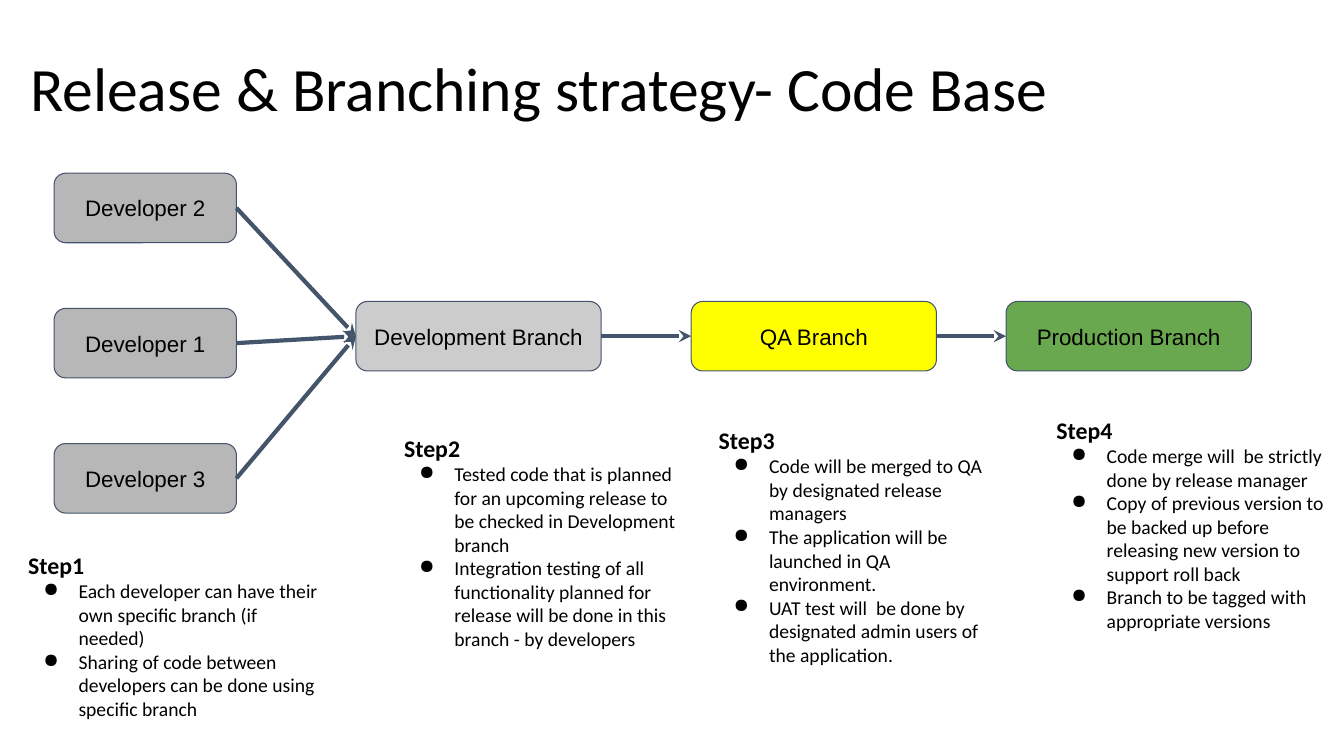
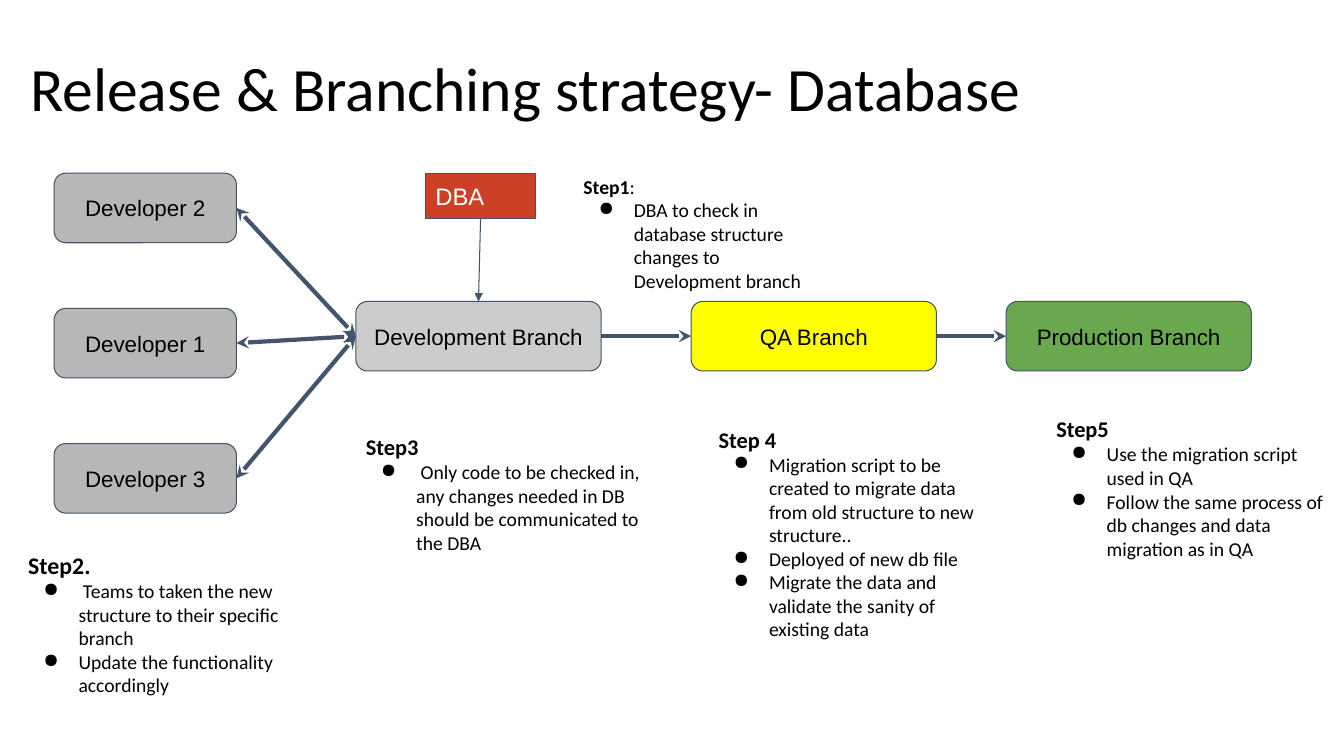
"""Build two slides on release and branching strategy."""
from pptx import Presentation
from pptx.dml.color import RGBColor
from pptx.enum import shapes, text
from pptx.oxml.ns import qn
from pptx.util import Pt
from lxml import etree

BLACK = RGBColor(0x00, 0x00, 0x00)
WHITE = RGBColor(0xFF, 0xFF, 0xFF)
SLATE = RGBColor(0x44, 0x54, 0x6A)
DEVELOPER_GRAY = RGBColor(0xB7, 0xB7, 0xB7)
BRANCH_GRAY = RGBColor(0xCC, 0xCC, 0xCC)
QA_YELLOW = RGBColor(0xFF, 0xFF, 0x00)
PRODUCTION_GREEN = RGBColor(0x6A, 0xA8, 0x4F)
DBA_RED = RGBColor(0xCC, 0x41, 0x25)

ROUNDED = shapes.MSO_SHAPE.ROUNDED_RECTANGLE
RECTANGLE = shapes.MSO_SHAPE.RECTANGLE
LEFT, CENTER = text.PP_ALIGN.LEFT, text.PP_ALIGN.CENTER
TOP_SITE, LEFT_SITE, BOTTOM_SITE, RIGHT_SITE = range(4)

BOX_HEIGHT = 49.7
DEVELOPER_TOP, DEVELOPER_PITCH = 123.7, 96.55
DEVELOPERS = ["Developer 2", "Developer 1", "Developer 3"]
BRANCHES = [
    ("Development Branch", 254.2, BRANCH_GRAY),
    ("QA Branch", 493.7, QA_YELLOW),
    ("Production Branch", 718.6, PRODUCTION_GREEN),
]


class Deck:
    """Hold the shared style and the current slide."""

    heading_font = "Calibri"
    box_font = "Arial"
    body_size = 14

    def __init__(self):
        """Start an empty widescreen presentation."""
        self.presentation = Presentation()
        self.presentation.slide_width = Pt(960)
        self.presentation.slide_height = Pt(540)
        self.slide = None

    def style(self, run, font, size, color=BLACK, bold=False):
        """Format one run."""
        run.font.name = font
        run.font.size = Pt(size)
        run.font.color.rgb = color
        run.font.bold = bold

    def frame(self, shape, inset, anchor):
        """Set wrapping, anchor and vertical insets; return the text frame."""
        body = shape.text_frame
        body.word_wrap = True
        body.auto_size = text.MSO_AUTO_SIZE.NONE
        body.vertical_anchor = anchor
        body.margin_left = body.margin_right = Pt(7.2)
        body.margin_top = body.margin_bottom = Pt(inset)
        return body

    def add_slide(self, title):
        """Add a title-only slide and format its title."""
        layout = self.presentation.slide_layouts[5]
        self.slide = self.presentation.slides.add_slide(layout)
        heading = self.slide.shapes.title
        heading.left, heading.top = Pt(14.4), Pt(13)
        heading.width, heading.height = Pt(828), Pt(104.4)
        body = self.frame(heading, 3.6, text.MSO_ANCHOR.MIDDLE)
        body.text = title
        line = body.paragraphs[0]
        line.alignment = LEFT
        line.line_spacing = 0.9
        self.style(line.runs[0], self.heading_font, 44)

    def box(self, label, left, top, width, fill, height=BOX_HEIGHT,
            kind=ROUNDED, align=CENTER, size=16, color=BLACK):
        """Draw a labelled box and return it."""
        box = self.slide.shapes.add_shape(
            kind, Pt(left), Pt(top), Pt(width), Pt(height))
        box.shadow.inherit = False
        box.fill.solid()
        box.fill.fore_color.rgb = fill
        box.line.color.rgb = SLATE
        box.line.width = Pt(0.75)
        body = self.frame(box, 7.2, text.MSO_ANCHOR.MIDDLE)
        body.text = label
        body.paragraphs[0].alignment = align
        self.style(body.paragraphs[0].runs[0], self.box_font, size, color)
        return box

    def arrow(self, source, target, sites=(RIGHT_SITE, LEFT_SITE),
              width=3, tip="stealth", two_way=False):
        """Join two boxes with an arrow."""
        arrow = self.slide.shapes.add_connector(
            shapes.MSO_CONNECTOR.STRAIGHT, 0, 0, 0, 0)
        arrow.begin_connect(source, sites[0])
        arrow.end_connect(target, sites[1])
        arrow.line.color.rgb = SLATE
        arrow.line.width = Pt(width)
        outline = arrow.line._get_or_add_ln()
        for end in ["headEnd", "tailEnd"] if two_way else ["tailEnd"]:
            etree.SubElement(outline, qn("a:" + end), type=tip)
        etree.SubElement(arrow._element.spPr, qn("a:effectLst"))

    def step(self, heading, left, top, width, height, items, size=17, suffix=""):
        """Write a bold step heading with bullets below it."""
        note = self.slide.shapes.add_textbox(
            Pt(left), Pt(top), Pt(width), Pt(height))
        body = self.frame(note, 7.2, text.MSO_ANCHOR.TOP)
        body.text = heading
        first = body.paragraphs[0]
        self.style(first.runs[0], self.heading_font, size, bold=True)
        if suffix:
            ending = first.add_run()
            ending.text = suffix
            self.style(ending, self.heading_font, size)
        for item in items:
            line = body.add_paragraph()
            line.text = item
            self.style(line.runs[0], self.heading_font, self.body_size)
            self.bullet(line)

    def bullet(self, line):
        """Give a paragraph a hanging round bullet."""
        properties = line._p.get_or_add_pPr()
        properties.set("marL", str(Pt(36)))
        properties.set("indent", str(Pt(-25.2)))
        color = etree.SubElement(properties, qn("a:buClr"))
        etree.SubElement(color, qn("a:srgbClr"), val=str(BLACK))
        etree.SubElement(properties, qn("a:buChar"), char="●")

    def flow(self, two_way=False):
        """Draw developers and branches; return the development branch."""
        branches = [self.box(label, left, 215.3, 175.2, fill)
                    for label, left, fill in BRANCHES]
        for row, name in enumerate(DEVELOPERS):
            developer = self.box(name, 38.6, DEVELOPER_TOP + row * DEVELOPER_PITCH,
                                 130.3, DEVELOPER_GRAY)
            self.arrow(developer, branches[0], two_way=two_way)
        for source, target in zip(branches, branches[1:]):
            self.arrow(source, target)
        return branches[0]


def code_base(deck):
    """Build the code base slide."""
    deck.add_slide("Release & Branching strategy- Code Base")
    deck.flow()
    deck.step("Step1", 13, 386, 221.8, 92.2, [
        "Each developer can have their own specific branch (if needed)",
        "Sharing of code between developers can be done using specific branch"])
    deck.step("Step2", 281.5, 302.4, 212.4, 64.8, [
        "Tested code that is planned for an upcoming release to be checked in "
        "Development branch",
        "Integration testing of all functionality planned for release will be "
        "done in this branch - by developers"])
    deck.step("Step3", 506.2, 296.9, 212.4, 90, [
        "Code will be merged to QA by designated release managers",
        "The application will be launched in QA environment.",
        "UAT test will  be done by designated admin users of the application."])
    deck.step("Step4", 747.4, 289.6, 212.4, 90, [
        "Code merge will  be strictly done by release manager",
        "Copy of previous version to be backed up before releasing new version "
        "to support roll back",
        "Branch to be tagged with appropriate versions"])


def database(deck):
    """Build the database slide."""
    deck.add_slide("Release & Branching strategy- Database")
    development = deck.flow(two_way=True)
    dba = deck.box("DBA", 303.9, 123.9, 78.8, DBA_RED, height=32.2,
                   kind=RECTANGLE, align=LEFT, size=17, color=WHITE)
    deck.arrow(dba, development, (BOTTOM_SITE, TOP_SITE), 0.75, "triangle")
    deck.step("Step1", 409.7, 117.4, 175, 30.2, [
        "DBA to check in database structure changes to Development branch"],
        size=14, suffix=":")
    deck.step("Step2.", 13, 386, 221.8, 92.2, [
        " Teams to taken the new structure to their specific branch",
        "Update the functionality accordingly"])
    deck.step("Step3", 254.2, 302.4, 212.4, 64.8, [
        " Only code to be checked in, any changes needed in DB should be "
        "communicated to the DBA"], size=16)
    deck.step("Step 4", 506.2, 296.9, 212.4, 90, [
        "Migration script to be created to migrate data from old structure to "
        "new structure..",
        "Deployed of new db file",
        "Migrate the data and validate the sanity of existing data"], size=16)
    deck.step("Step5", 747.4, 289.6, 212.4, 90, [
        "Use the migration script used in QA",
        "Follow the same process of db changes and data migration as in QA"],
        size=16)


deck = Deck()
code_base(deck)
database(deck)
deck.presentation.save("out.pptx")
